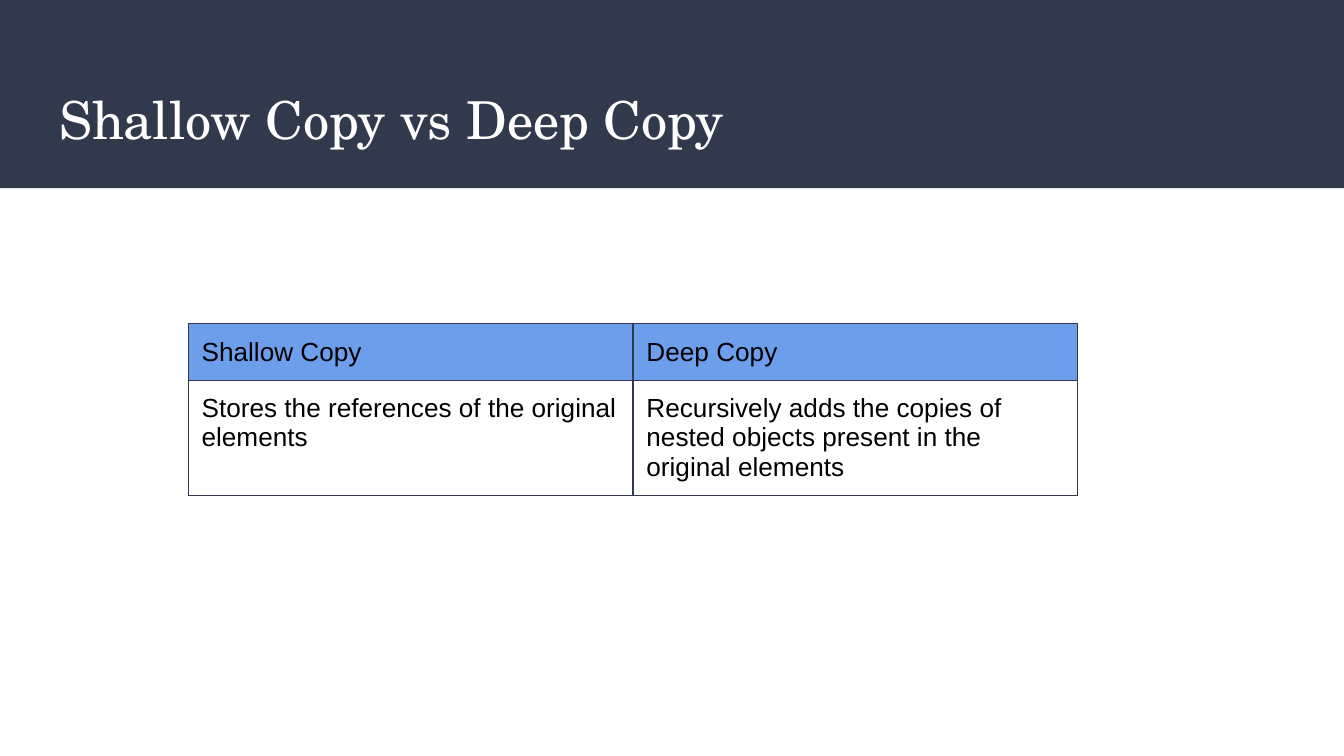
import pptx
import pptx.dml.color
import pptx.enum.shapes
import pptx.enum.text
import pptx.oxml
import pptx.oxml.ns
import pptx.util

NAVY = pptx.dml.color.RGBColor(0x31, 0x39, 0x4D)
BLUE = pptx.dml.color.RGBColor(0x6D, 0x9E, 0xEB)
WHITE = pptx.dml.color.RGBColor(0xFF, 0xFF, 0xFF)
BLACK = pptx.dml.color.RGBColor(0, 0, 0)

Inches = pptx.util.Inches

COMPARISON = [
    ("Shallow Copy", "Deep Copy"),
    ("Stores the references of the original elements",
     "Recursively adds the copies of nested objects present in the original elements"),
]


class SlideBuilder:
    title_font = "TeX Gyre Schola"
    body_font = "Arial"
    inset = Inches(0.1)

    def __init__(self, slide):
        self.slide = slide

    def format_text(self, frame, font_name, size, color):
        for paragraph in frame.paragraphs:
            paragraph.alignment = pptx.enum.text.PP_ALIGN.LEFT
            paragraph.font.name = font_name
            paragraph.font.size = pptx.util.Pt(size)
            paragraph.font.bold = False
            paragraph.font.color.rgb = color

    def title(self, text, left, top, width, height):
        heading = self.slide.shapes.title
        heading.left, heading.top = left, top
        heading.width, heading.height = width, height
        frame = heading.text_frame
        frame.text = text
        frame.word_wrap = True
        frame.auto_size = pptx.enum.text.MSO_AUTO_SIZE.NONE
        frame.vertical_anchor = pptx.enum.text.MSO_ANCHOR.TOP
        frame.margin_left = frame.margin_right = self.inset
        frame.margin_top = frame.margin_bottom = self.inset
        self.format_text(frame, self.title_font, 28, WHITE)

    def band(self, width, height):
        """Add the header band behind the title."""
        header = self.slide.shapes.add_shape(
            pptx.enum.shapes.MSO_SHAPE.RECTANGLE, 0, 0, width, height)
        header.shadow.inherit = False
        header.fill.solid()
        header.fill.fore_color.rgb = NAVY
        header.line.fill.background()
        self.slide.shapes.title._element.addprevious(header._element)

    def cell_borders(self, cell):
        properties = cell._tc.get_or_add_tcPr()
        for position, side in enumerate(("lnL", "lnR", "lnT", "lnB")):
            properties.insert(position, pptx.oxml.parse_xml(
                f'<a:{side} {pptx.oxml.ns.nsdecls("a")} w="{pptx.util.Pt(0.75)}">'
                f'<a:solidFill><a:srgbClr val="{NAVY}"/></a:solidFill></a:{side}>'))

    def table(self, rows, left, top, column_width, row_heights):
        columns = len(rows[0])
        grid = self.slide.shapes.add_table(
            len(rows), columns, left, top,
            column_width * columns, sum(row_heights)).table
        grid.first_row = grid.horz_banding = False
        for column in grid.columns:
            column.width = column_width
        for r, (texts, height) in enumerate(zip(rows, row_heights)):
            grid.rows[r].height = height
            for c, text in enumerate(texts):
                cell = grid.cell(r, c)
                cell.text = text
                cell.margin_left = cell.margin_right = self.inset
                cell.margin_top = cell.margin_bottom = self.inset
                if r == 0:
                    cell.fill.solid()
                    cell.fill.fore_color.rgb = BLUE
                else:
                    cell.fill.background()
                self.cell_borders(cell)
                self.format_text(cell.text_frame, self.body_font, 14, BLACK)


def main():
    deck = pptx.Presentation()
    deck.slide_width = Inches(10)
    deck.slide_height = deck.slide_width * 9 // 16
    title_only = deck.slide_layouts[5]
    builder = SlideBuilder(deck.slides.add_slide(title_only))
    builder.title("Shallow Copy vs Deep Copy",
                  Inches(0.34), Inches(0.55), Inches(9.32), Inches(0.68))
    builder.band(deck.slide_width, Inches(1.4))
    builder.table(COMPARISON, Inches(1.4), Inches(2.41), Inches(3.31),
                  (Inches(0.42), Inches(0.86)))
    deck.save("out.pptx")


if __name__ == "__main__":
    main()
